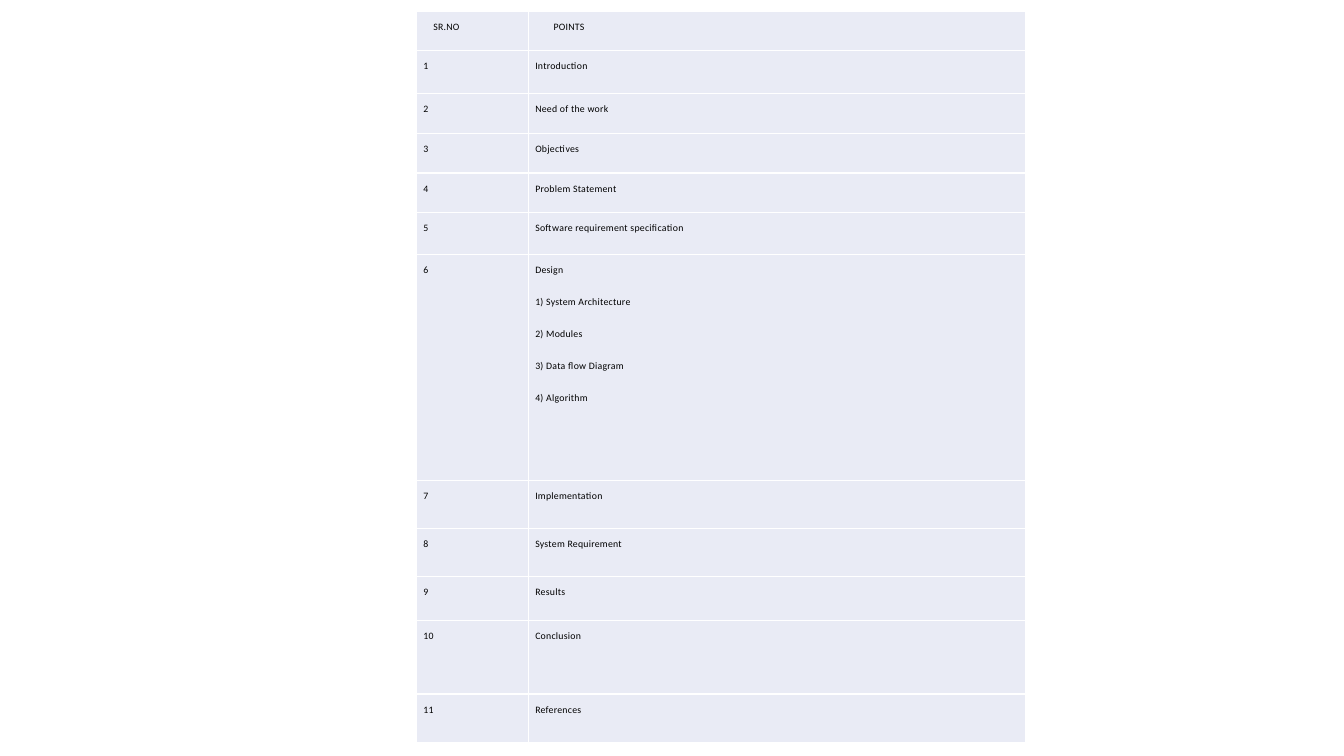
from dataclasses import dataclass

from lxml.etree import SubElement
from pptx import Presentation
from pptx.dml.color import RGBColor
from pptx.enum.text import MSO_ANCHOR, PP_ALIGN
from pptx.oxml.ns import qn
from pptx.util import Cm, Pt

COLORS = {"cell": "E9EBF5", "border": "FFFFFF", "text": "000000"}
COL_WIDTHS = (2.82, 12.52)


@dataclass
class Row:
    number: str
    points: list[str]
    height: float = 1.0
    indents: tuple[float, float] = (0, 0)


ROWS = [
    Row("SR.NO", ["POINTS"], 0.98, (0.25, 0.46)),
    Row("1", ["Introduction"], 1.09),
    Row("2", ["Need of the work"]),
    Row("3", ["Objectives"]),
    Row("4", ["Problem Statement"]),
    Row("5", ["Software requirement specification"], 1.06),
    Row("6", ["Design", "1) System Architecture", "2) Modules",
              "3) Data flow Diagram", "4) Algorithm"], 5.68),
    Row("7", ["Implementation"], 1.21),
    Row("8", ["System Requirement"], 1.21),
    Row("9", ["Results"], 1.11),
    Row("10", ["Conclusion"], 1.86),
    Row("11", ["References"], 1.21),
]


def add_text(tf, lines: list[str], *, indent: float = 0, size: float = 7,
             font: str = "Calibri", color: str = COLORS["text"],
             spacing: float = 0.2) -> None:
    for i, line in enumerate(lines):
        p = tf.paragraphs[0] if i == 0 else tf.add_paragraph()
        p.alignment = PP_ALIGN.JUSTIFY
        p.line_spacing = 1.5
        p.space_after = Pt(10)
        if indent:
            p._p.get_or_add_pPr().set("marL", str(Cm(indent)))
        r = p.add_run()
        r.text = line
        r.font.size = Pt(size)
        r.font.name = font
        r.font.color.rgb = RGBColor.from_string(color)
        r._r.get_or_add_rPr().set("spc", str(round(spacing * 100)))


def format_cell(cell) -> None:
    cell.margin_left = cell.margin_right = Cm(0.17)
    cell.margin_top = cell.margin_bottom = Cm(0.1)
    cell.vertical_anchor = MSO_ANCHOR.TOP
    # Borders go before the fill in the cell properties
    tc_pr = cell._tc.get_or_add_tcPr()
    for side in ("lnL", "lnR", "lnT", "lnB"):
        ln = SubElement(tc_pr, qn(f"a:{side}"), w=str(Pt(1)))
        fill = SubElement(ln, qn("a:solidFill"))
        SubElement(fill, qn("a:srgbClr"), val=COLORS["border"])
    cell.fill.solid()
    cell.fill.fore_color.rgb = RGBColor.from_string(COLORS["cell"])


def add_contents_table(slide, left: float, top: float) -> None:
    height = sum(row.height for row in ROWS)
    table = slide.shapes.add_table(
        len(ROWS), len(COL_WIDTHS), Cm(left), Cm(top),
        Cm(sum(COL_WIDTHS)), Cm(height)).table
    table.first_row = table.horz_banding = False
    for column, width in zip(table.columns, COL_WIDTHS):
        column.width = Cm(width)
    for i, row in enumerate(ROWS):
        table.rows[i].height = Cm(row.height)
        for j, lines in enumerate(([row.number], row.points)):
            cell = table.cell(i, j)
            format_cell(cell)
            add_text(cell.text_frame, lines, indent=row.indents[j])


def main() -> None:
    prs = Presentation()
    prs.slide_width, prs.slide_height = Cm(33.87), Cm(19.05)
    # Blank layout: the slide holds only the table of contents
    slide = prs.slides.add_slide(prs.slide_layouts[6])
    add_contents_table(slide, left=10.5, top=0.29)
    prs.save("out.pptx")


if __name__ == "__main__":
    main()
